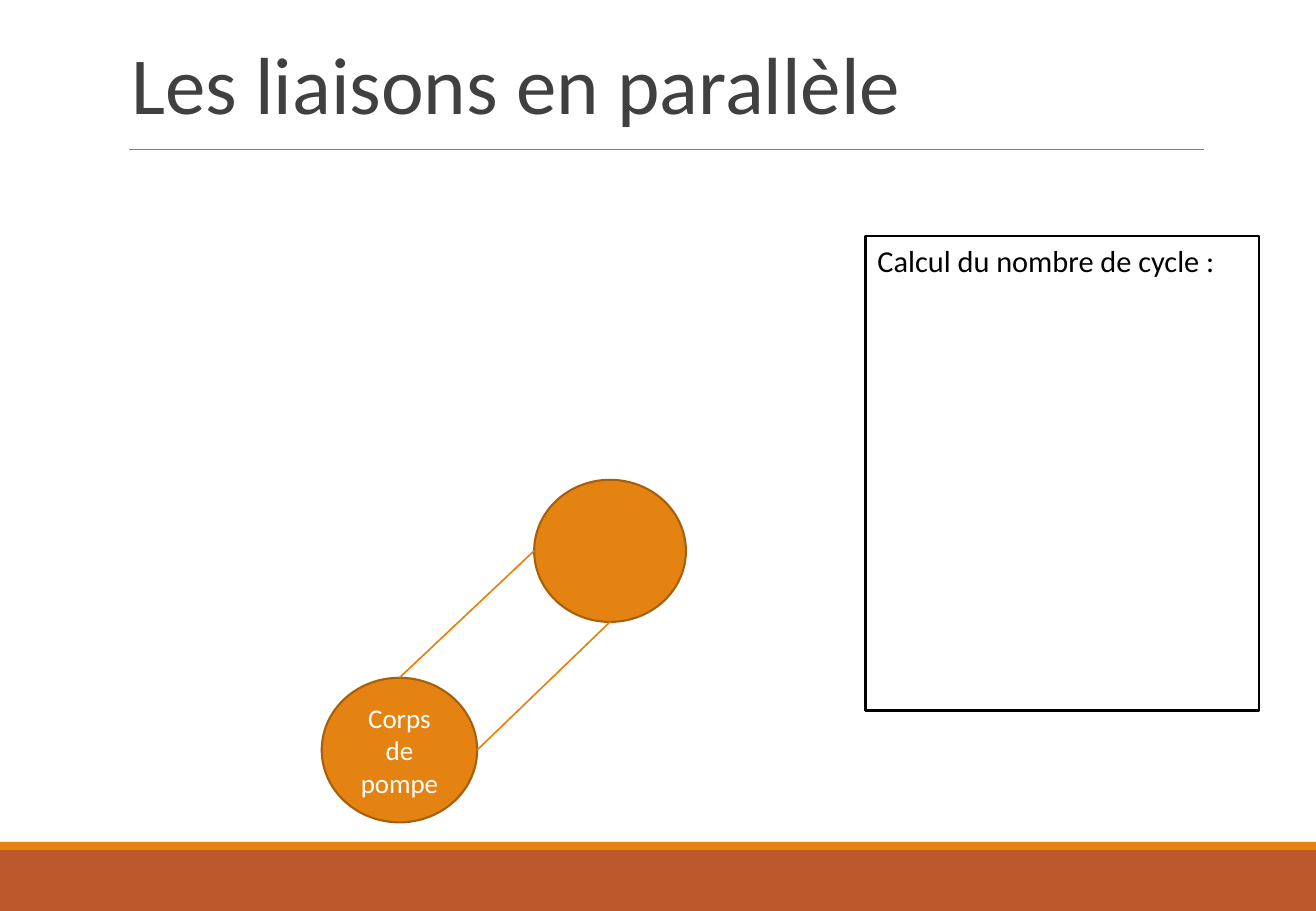
from lxml import etree
from pptx import Presentation
from pptx.dml.color import RGBColor
from pptx.enum.shapes import MSO_CONNECTOR, MSO_SHAPE
from pptx.enum.text import MSO_ANCHOR, MSO_AUTO_SIZE, PP_ALIGN
from pptx.oxml.ns import qn
from pptx.util import Inches, Pt

WIDE, HIGH = Inches(10.84), Inches(7.5)
RECT, OVAL = MSO_SHAPE.RECTANGLE, MSO_SHAPE.OVAL
LINE = MSO_CONNECTOR.STRAIGHT
TOP, MID, BASE = MSO_ANCHOR.TOP, MSO_ANCHOR.MIDDLE, MSO_ANCHOR.BOTTOM
LEFT, MIDDLE = PP_ALIGN.LEFT, PP_ALIGN.CENTER
FIXED = MSO_AUTO_SIZE.NONE
FONT = "Calibri"
WHITE = RGBColor(0xFF, 0xFF, 0xFF)
BLACK = RGBColor(0x00, 0x00, 0x00)
DARK = RGBColor(0x40, 0x40, 0x40)
GREY = RGBColor(0x7F, 0x7F, 0x7F)
ORANGE = RGBColor(0xE4, 0x83, 0x12)
BROWN = RGBColor(0xA7, 0x5F, 0x0A)
RUST = RGBColor(0xBD, 0x58, 0x2C)


def across(part):
    return round(WIDE * part / 100)


def down(part):
    return round(HIGH * part / 100)


def area(left, top, width, height):
    return across(left), down(top), across(width), down(height)


def write(shape, text, size, color, align=LEFT, anchor=TOP):
    frame = shape.text_frame
    frame.word_wrap = True
    frame.auto_size = FIXED
    frame.vertical_anchor = anchor
    para = frame.paragraphs[0]
    para.alignment = align
    run = para.add_run()
    run.text = text
    run.font.name = FONT
    run.font.size = Pt(size)
    run.font.color.rgb = color
    return para


def add_form(slide, kind, place, fill, edge=None):
    form = slide.shapes.add_shape(kind, *area(*place))
    form.shadow.inherit = False
    form.fill.solid()
    form.fill.fore_color.rgb = fill
    if edge is None:
        form.line.fill.background()
    else:
        form.line.color.rgb = edge
        form.line.width = Pt(1.25)
    return form


def add_line(slide, start, end, color, width):
    line = slide.shapes.add_connector(LINE, *start, *end)
    line.line.color.rgb = color
    line.line.width = Pt(width)
    etree.SubElement(line._element.spPr, qn("a:effectLst"))


def side(node, right, low):
    return (node.left + round(node.width * right),
            node.top + round(node.height * low))


def add_title(slide, text):
    title = slide.shapes.title
    title.left, title.top, title.width, title.height = area(9.04, 4.4, 82.47, 10.67)
    para = write(title, text, 48, DARK, anchor=BASE)
    para.line_spacing = 0.85


def add_frame(slide):
    add_form(slide, RECT, (0, 93.33, 100, 6.67), RUST)
    add_form(slide, RECT, (0, 92.4, 100, 0.93), ORANGE)
    level = down(16.4)
    add_line(slide, (across(9.78), level), (across(91.51), level), GREY, 0.5)


def add_graph(slide):
    pump = add_form(slide, OVAL, (24.45, 74.4, 11.81, 15.87), ORANGE, BROWN)
    write(pump, "Corps de pompe", 16, WHITE, MIDDLE, MID)
    node = add_form(slide, OVAL, (40.59, 52.67, 11.53, 15.6), ORANGE, BROWN)
    add_line(slide, side(pump, 0.5, 0), side(node, 0, 0.5), ORANGE, 1)
    add_line(slide, side(pump, 1, 0.5), side(node, 0.5, 1), ORANGE, 1)


def main():
    deck = Presentation()
    deck.slide_width, deck.slide_height = WIDE, HIGH
    slide = deck.slides.add_slide(deck.slide_layouts[5])
    add_frame(slide)
    add_title(slide, "Les liaisons en parallèle")
    panel = add_form(slide, RECT, (65.77, 25.87, 29.89, 52.13), WHITE, BLACK)
    write(panel, "Calcul du nombre de cycle :", 18, BLACK)
    add_graph(slide)
    deck.save("out.pptx")


if __name__ == "__main__":
    main()
